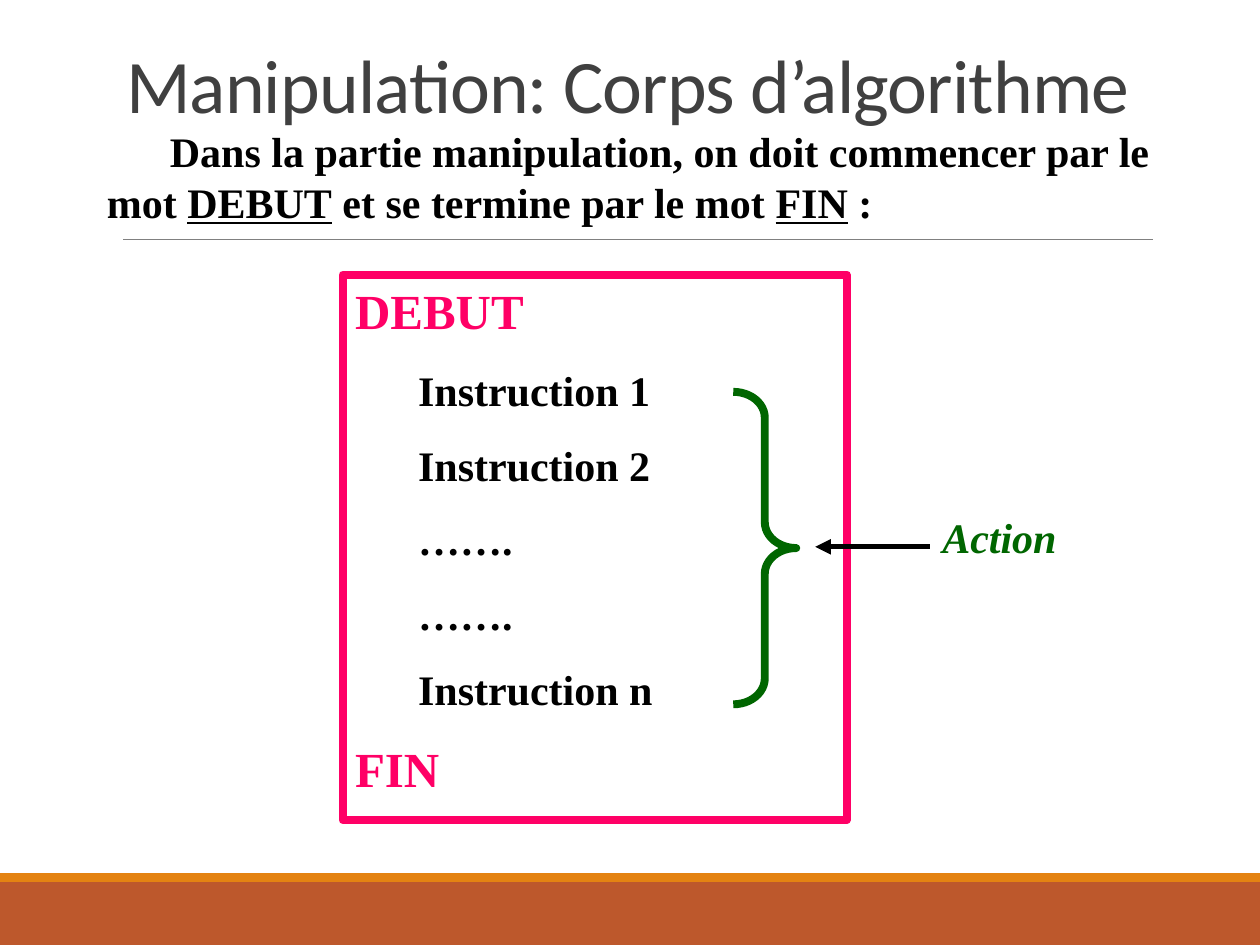
from pptx import Presentation
from pptx.dml.color import RGBColor
from pptx.enum.dml import MSO_LINE
from pptx.enum.shapes import MSO_CONNECTOR, MSO_SHAPE
from pptx.enum.text import MSO_ANCHOR, MSO_AUTO_SIZE, PP_ALIGN
from pptx.oxml.ns import qn
from pptx.util import Inches, Pt
from lxml import etree

RECT, BRACE = MSO_SHAPE.RECTANGLE, MSO_SHAPE.RIGHT_BRACE
LINE, SOLID = MSO_CONNECTOR.STRAIGHT, MSO_LINE.SOLID
LEFT, TOP, BOTTOM = PP_ALIGN.LEFT, MSO_ANCHOR.TOP, MSO_ANCHOR.BOTTOM
PINK, GREEN, BLACK = "FF0066", "006600", "000000"


def rgb(color):
    return RGBColor.from_string(color)


def add_run(p, text, size=24, color=BLACK, font="Times New Roman",
            bold=True, italic=False, underline=False):
    r = p.add_run()
    r.text = text
    r.font.size, r.font.name = Pt(size), font
    r.font.bold, r.font.italic, r.font.underline = bold, italic, underline
    r.font.color.rgb = rgb(color)
    p.alignment = LEFT
    return r


prs = Presentation()
prs.slide_width, prs.slide_height = Inches(10), Inches(7.5)
s = prs.slides.add_slide(prs.slide_layouts[5])
TAB = Inches(0.5)

# Footer bands
for top, height, color in [(7, 0.5, "BD582C"), (6.93, 0.07, "E48312")]:
    sp = s.shapes.add_shape(RECT, 0, Inches(top), prs.slide_width, Inches(height))
    sp.shadow.inherit = False
    sp.fill.solid()
    sp.fill.fore_color.rgb = rgb(color)
    sp.line.fill.background()

# Title
sp = s.shapes.title
sp.left, sp.top, sp.width, sp.height = map(Inches, (0.9, 0.31, 8.98, 0.76))
tf = sp.text_frame
tf.auto_size, tf.vertical_anchor = MSO_AUTO_SIZE.NONE, BOTTOM
p = tf.paragraphs[0]
p.line_spacing = 0.85
r = add_run(p, "Manipulation: Corps d’algorithme", size=43.2,
            color="404040", font="Calibri", bold=False)
r.font._element.set("spc", "-50")

# Introduction, with its first line indented
tf = s.shapes.add_textbox(*map(Inches, (0.75, 0.95, 8.83, 0.91))).text_frame
tf.word_wrap = True
p = tf.paragraphs[0]
p._p.get_or_add_pPr().set("indent", str(TAB))
for text, underline in [
    ("Dans la partie manipulation, on doit commencer par le mot ", False),
    ("DEBUT", True),
    (" et se termine par le mot ", False),
    ("FIN", True),
    (" :", False),
]:
    add_run(p, text, underline=underline)

# Algorithm frame and brace
frame = s.shapes.add_shape(RECT, *map(Inches, (2.72, 2.18, 4, 4.33)))
brace = s.shapes.add_shape(BRACE, *map(Inches, (5.82, 3.11, 0.5, 2.48)))
brace.adjustments[0] = 0.41
for sp, color in [(frame, PINK), (brace, GREEN)]:
    sp.shadow.inherit = False
    sp.fill.background()
    sp.line.color.rgb = rgb(color)
    sp.line.width = Pt(4.5)

# Algorithm body: keywords at the margin, instructions one step in
tf = frame.text_frame
tf.word_wrap, tf.vertical_anchor = True, TOP
steps = ["Instruction 1", "Instruction 2", "…….", "…….", "Instruction n"]
for i, text in enumerate(["DEBUT", *steps, "FIN"]):
    p = tf.add_paragraph() if i else tf.paragraphs[0]
    if i:
        p.space_before = Pt(14)
    if text in ("DEBUT", "FIN"):
        add_run(p, text, size=28, color=PINK)
    else:
        p._p.get_or_add_pPr().set("marL", str(TAB))
        add_run(p, text)

# Action label
tf = s.shapes.add_textbox(*map(Inches, (7.38, 4.01, 1.25, 0.5))).text_frame
tf.word_wrap = True
add_run(tf.paragraphs[0], "Action", color=GREEN, italic=True)

# Title rule and arrow to the brace
for x1, x2, y, color, width, arrow in [
    (0.98, 9.15, 1.9, "808080", 0.5, False),
    (7.38, 6.47, 4.34, BLACK, 3, True),
]:
    c = s.shapes.add_connector(LINE, *map(Inches, (x1, y, x2, y)))
    c.line.color.rgb = rgb(color)
    c.line.width, c.line.dash_style = Pt(width), SOLID
    if arrow:
        etree.SubElement(c.line._get_or_add_ln(), qn("a:tailEnd"), type="triangle")
    etree.SubElement(c._element.spPr, qn("a:effectLst"))

prs.save("out.pptx")
